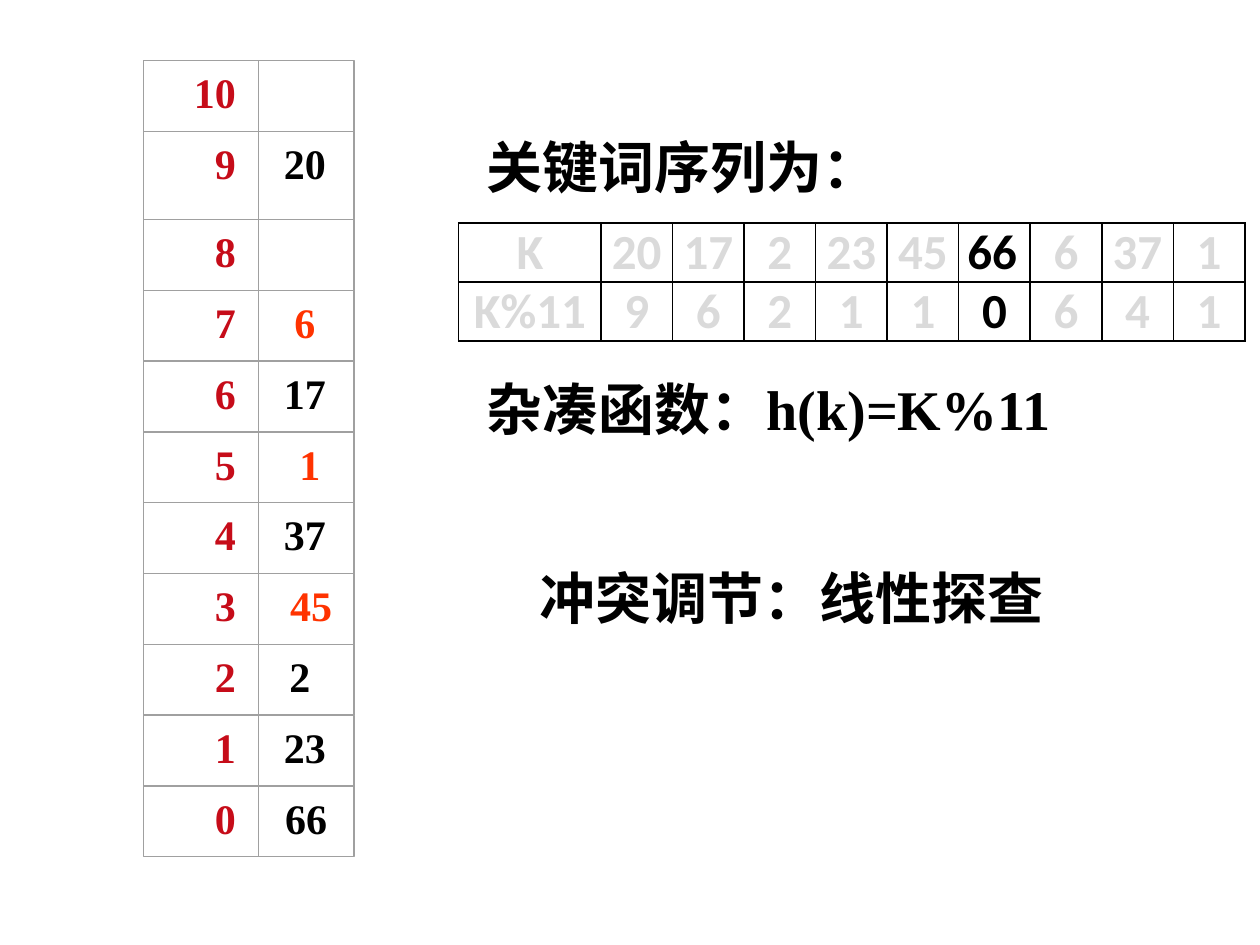
import pptx
import pptx.util
import pptx.oxml
import pptx.dml.color
import pptx.enum.text
import pptx.enum.shapes
from dataclasses import dataclass

Inches = pptx.util.Inches
Align = pptx.enum.text.PP_ALIGN


@dataclass(frozen=True)
class Theme:
    ink: str = "000000"
    pale: str = "DADADA"
    index: str = "C60C19"
    clash: str = "FF3300"
    rule: str = "A0A0A0"
    serif: str = "Times New Roman"
    sans: str = "Roboto"
    grid: str = "Calibri"
    head: int = 32
    key: int = 28
    slot: int = 24


theme = Theme()


def rgb(code):
    return pptx.dml.color.RGBColor.from_string(code)


def style(font, name, size, color):
    font.name = name
    font.size = pptx.util.Pt(size)
    font.bold = True
    font.color.rgb = rgb(color)


def add_text(slide, box, runs, size, color, align=Align.LEFT):
    frame = slide.shapes.add_textbox(*map(Inches, box)).text_frame
    frame.word_wrap = True
    para = frame.paragraphs[0]
    para.alignment = align
    style(para.font, runs[0][1], size, color)
    for text, face in runs:
        run = para.add_run()
        run.text = text
        run.font.name = face


def add_frame(slide, box):
    kind = pptx.enum.shapes.MSO_SHAPE.RECTANGLE
    rect = slide.shapes.add_shape(kind, *map(Inches, box))
    rect.shadow.inherit = False
    rect.fill.background()
    rect.line.color.rgb = rgb(theme.rule)
    rect.line.width = 0


def add_slots(slide, box, slots):
    left, top, width, height = box
    split, tall = 0.91, 0.7
    pitch = (height - tall) / (len(slots) - 1)
    for index, (value, color, shift) in zip(reversed(range(len(slots))), slots):
        deep = tall if index == 9 else pitch
        add_text(slide, (left + 0.08, top, 0.75, deep), [(str(index), theme.serif)],
                 theme.slot, theme.index, Align.RIGHT)
        add_frame(slide, (left, top, split, deep))
        if value:
            add_text(slide, (left + split + 0.07 + shift, top, 0.6, deep),
                     [(value, theme.serif)], theme.slot, color, Align.CENTER)
        add_frame(slide, (left + split, top, width - split, deep))
        top += deep


def add_border(cell):
    props = cell._tc.get_or_add_tcPr()
    space = "http://schemas.openxmlformats.org/drawingml/2006/main"
    for place, side in enumerate(("lnL", "lnR", "lnT", "lnB")):
        line = pptx.oxml.parse_xml(
            f'<a:{side} xmlns:a="{space}" w="12700"><a:solidFill>'
            f'<a:srgbClr val="{theme.ink}"/></a:solidFill></a:{side}>')
        props.insert(place, line)


def add_keys(slide, box, keys, size, now):
    left, top, width, height = box
    first = 1.13
    rows = [["K"] + keys, [f"K%{size}"] + [key % size for key in keys]]
    table = slide.shapes.add_table(2, len(keys) + 1, *map(Inches, box)).table
    table.first_row = table.horz_banding = False
    for place, column in enumerate(table.columns):
        column.width = Inches((width - first) / len(keys) if place else first)
    for r, row in enumerate(rows):
        table.rows[r].height = Inches(height / 2)
        for c, value in enumerate(row):
            cell = table.cell(r, c)
            cell.fill.background()
            cell.margin_left = cell.margin_right = Inches(0.07)
            cell.margin_top = cell.margin_bottom = 0
            cell.text = str(value)
            para = cell.text_frame.paragraphs[0]
            para.alignment = Align.LEFT if value == now else Align.CENTER
            color = theme.ink if c and keys[c - 1] == now else theme.pale
            style(para.font, theme.grid, theme.key, color)
            add_border(cell)


def add_notes(slide, box):
    left, top, width, height = box
    notes = [
        (0, 0, width, [("关键词序列为：", theme.serif)]),
        (0, 1.92, width, [("杂凑函数：", theme.sans), ("h(k)=K%11", theme.serif)]),
        (0.42, 3.42, 4.83, [("冲突调节：线性探查", theme.sans)]),
    ]
    for dx, dy, wide, runs in notes:
        add_text(slide, (left + dx, top + dy, wide, height), runs,
                 theme.head, theme.ink)


def main():
    deck = pptx.Presentation()
    deck.slide_width, deck.slide_height = Inches(10), Inches(7.5)
    slide = deck.slides.add_slide(deck.slide_layouts[6])
    ink, clash = theme.ink, theme.clash
    slots = [
        ("", ink, 0), ("20", ink, 0), ("", ink, 0), ("6", clash, 0),
        ("17", ink, 0), ("1", clash, 0.04), ("37", ink, 0),
        ("45", clash, 0.05), ("2", ink, -0.04), ("23", ink, 0), ("66", ink, 0.01),
    ]
    add_notes(slide, (3.76, 1, 6.08, 0.63))
    add_keys(slide, (3.64, 1.77, 6.24, 0.93),
             [20, 17, 2, 23, 45, 66, 6, 37, 1], 11, 66)
    add_slots(slide, (1.14, 0.48, 1.67, 6.32), slots)
    deck.save("out.pptx")


if __name__ == "__main__":
    main()
